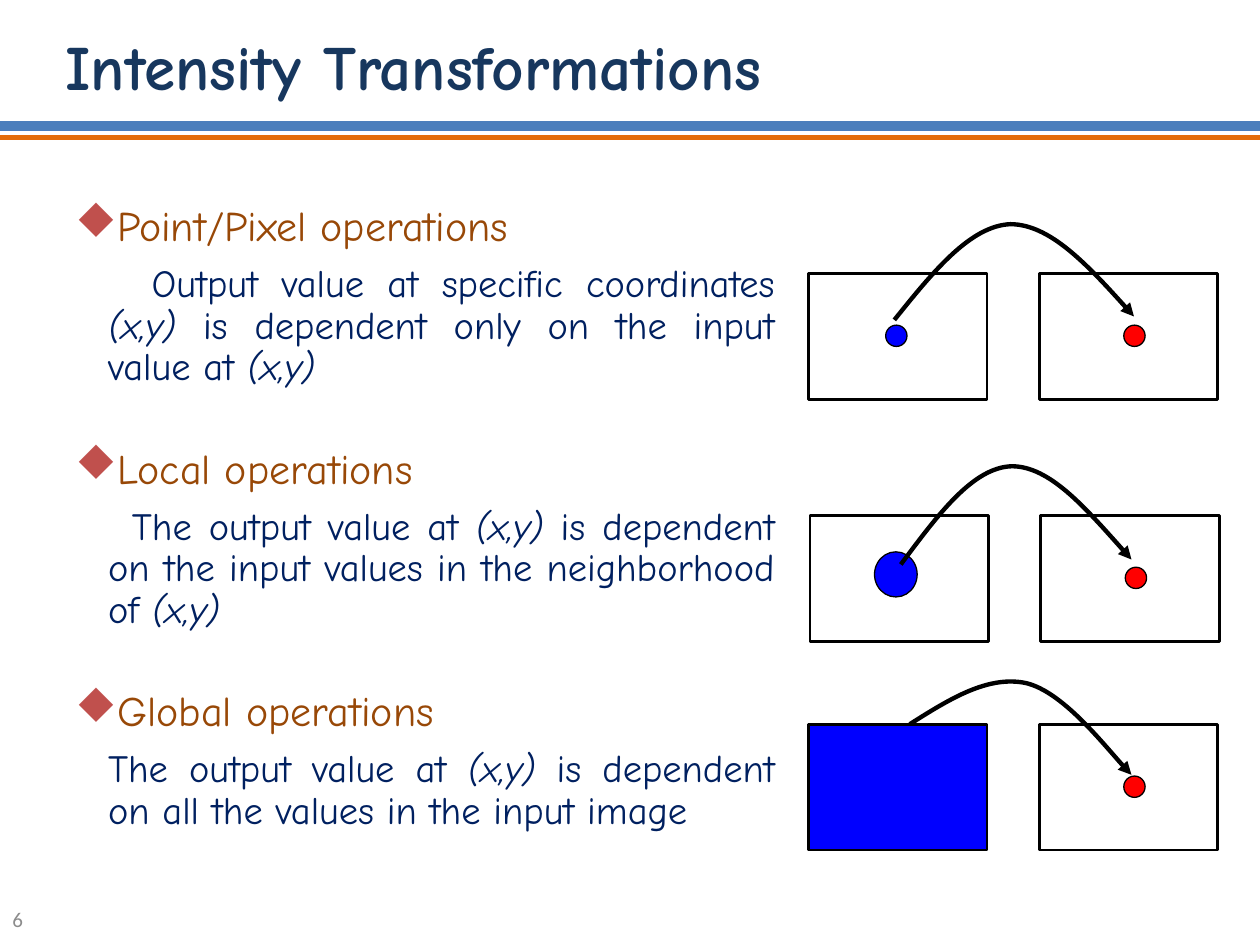
from dataclasses import dataclass
from typing import Optional

from lxml import etree
from pptx import Presentation
from pptx.dml.color import RGBColor
from pptx.enum.shapes import MSO_CONNECTOR as Connector, MSO_SHAPE as Preset
from pptx.enum.text import MSO_ANCHOR as Anchor, PP_ALIGN as Align
from pptx.oxml.ns import qn
from pptx.util import Cm, Pt

NAVY = RGBColor(0x17, 0x37, 0x5E)
BODY = RGBColor(0x00, 0x20, 0x60)
BROWN = RGBColor(0x98, 0x48, 0x07)
GREY = RGBColor(0x8C, 0x8C, 0x8C)
BLACK = RGBColor(0x00, 0x00, 0x00)
BLUE = RGBColor(0x00, 0x00, 0xFF)
RED = RGBColor(0xFF, 0x00, 0x00)
BULLET_RED = RGBColor(0xC0, 0x50, 0x4D)
RULE_BLUE = RGBColor(0x4B, 0x7E, 0xBC)
RULE_ORANGE = RGBColor(0xE4, 0x6C, 0x0A)
COMIC = "Comic Neue"
BULLET_FONT, DIAMOND = "Wingdings", "u"  # the letter u is a diamond in this font

FRAME_WIDTH, FRAME_HEIGHT = 3.6, 2.54
FRAME_STEP = 4.65
DOT = 0.43
DOT_DOWN = 1.26
TARGET_RIGHT = 1.92
HANGING = 0.66

Point = tuple[float, float]


@dataclass
class Neighbourhood:
    """Blue ellipse in the input frame, centred relative to that frame."""
    centre: Point
    width: float
    height: float


@dataclass
class Operation:
    heading: str
    text: str
    first_indent: float
    frame: Point
    source: Optional[Neighbourhood]  # None: the whole input frame is blue
    curve: list[Point]  # start, then two cubic segments


OPERATIONS = [
    Operation(
        "Point/Pixel operations",
        "Output value at specific coordinates (x,y) is dependent only on "
        "the input value at (x,y)",
        0.88, (16.3, 5.51), Neighbourhood((1.77, DOT_DOWN), DOT, DOT),
        [(18.03, 6.45), (18.8, 5.49), (19.56, 4.55), (20.37, 4.52),
         (21.16, 4.52), (22.02, 5.44), (22.86, 6.38)]),
    Operation(
        "Local operations",
        "The output value at (x,y) is dependent on the input values in the "
        "neighborhood of (x,y)",
        0.48, (16.33, 10.39), Neighbourhood((1.73, 1.19), 0.86, 0.91),
        [(18.16, 11.38), (18.9, 10.39), (19.61, 9.42), (20.4, 9.4),
         (21.16, 9.4), (21.97, 10.34), (22.81, 11.28)]),
    Operation(
        "Global operations",
        "The output value at (x,y) is dependent on all the values in the "
        "input image",
        0, (16.3, 14.6), None,
        [(18.34, 14.6), (19.13, 14.1), (19.91, 13.61), (20.68, 13.77),
         (21.41, 13.94), (22.48, 15.29), (22.81, 15.62)]),
]


def add_box(page, left: float, top: float, width: float, height: float):
    box = page.shapes.add_textbox(Cm(left), Cm(top), Cm(width), Cm(height))
    box.text_frame.word_wrap = True
    return box.text_frame


def add_span(para, text: str, size: float, color: RGBColor, font: str = COMIC,
             bold: bool = False, italic: bool = False) -> None:
    span = para.add_run()
    span.text = text
    span.font.name = font
    span.font.size = Pt(size)
    span.font.color.rgb = color
    span.font.bold = bold
    span.font.italic = italic


def set_indent(para, first: float, bullet: bool = False) -> None:
    properties = para._p.get_or_add_pPr()
    properties.set("marL", str(Cm(HANGING)))
    properties.set("indent", str(Cm(first)))
    if bullet:
        color = etree.SubElement(properties, qn("a:buClr"))
        etree.SubElement(color, qn("a:srgbClr")).set("val", str(BULLET_RED))
        font = etree.SubElement(properties, qn("a:buFont"))
        font.set("typeface", BULLET_FONT)
        font.set("charset", "2")
        etree.SubElement(properties, qn("a:buChar")).set("char", DIAMOND)
    else:
        etree.SubElement(properties, qn("a:buNone"))


def add_operations_text(page) -> None:
    frame = add_box(page, 1.27, 4.01, 14.6, 13)
    for index, operation in enumerate(OPERATIONS):
        heading = frame.add_paragraph() if index else frame.paragraphs[0]
        set_indent(heading, -HANGING, bullet=True)
        if index:
            heading.space_before = Pt(33.5)
        add_span(heading, operation.heading, 24, BROWN)

        body = frame.add_paragraph()
        set_indent(body, operation.first_indent)
        body.space_before = Pt(8)
        coordinates = "(x,y)"
        for position, part in enumerate(operation.text.split(coordinates)):
            if position:
                add_span(body, coordinates, 22, BODY, italic=True)
            if part:
                add_span(body, part, 22, BODY)

        for para in (heading, body):
            para.alignment = Align.JUSTIFY
            para.line_spacing = 0.9


def add_outlined(page, preset: Preset, left: float, top: float, width: float,
                 height: float, line: float, fill: Optional[RGBColor]) -> None:
    shape = page.shapes.add_shape(preset, Cm(left), Cm(top), Cm(width), Cm(height))
    shape.shadow.inherit = False
    shape.line.color.rgb = BLACK
    shape.line.width = Pt(line)
    if fill is None:
        shape.fill.background()
    else:
        shape.fill.solid()
        shape.fill.fore_color.rgb = fill


def add_ellipse(page, centre: Point, width: float, height: float,
                fill: RGBColor) -> None:
    add_outlined(page, Preset.OVAL, centre[0] - width / 2, centre[1] - height / 2,
                 width, height, 0.75, fill)


def add_curved_arrow(page, points: list[Point]) -> None:
    """Build a freeform on the control points, then turn it into cubic curves."""
    start, *others = [(Cm(x), Cm(y)) for x, y in points]
    builder = page.shapes.build_freeform(*start)
    builder.add_line_segments(others, close=False)
    arrow = builder.convert_to_shape()
    arrow.shadow.inherit = False
    arrow.fill.background()
    arrow.line.color.rgb = BLACK
    arrow.line.width = Pt(2.5)
    etree.SubElement(arrow.line._get_or_add_ln(), qn("a:tailEnd")).set("type", "triangle")

    segments = list(arrow._element.iter(qn("a:lnTo")))
    outline = segments[0].getparent()
    for first in range(0, len(segments), 3):
        cubic = etree.SubElement(outline, qn("a:cubicBezTo"))
        for segment in segments[first:first + 3]:
            cubic.append(segment[0])
            outline.remove(segment)


def draw_operation(page, operation: Operation) -> None:
    left, top = operation.frame
    right = left + FRAME_STEP
    source = operation.source
    for x, fill in ((left, None if source else BLUE), (right, None)):
        add_outlined(page, Preset.RECTANGLE, x, top, FRAME_WIDTH, FRAME_HEIGHT, 1.5, fill)
    if source:
        centre = (left + source.centre[0], top + source.centre[1])
        add_ellipse(page, centre, source.width, source.height, BLUE)
    add_ellipse(page, (right + TARGET_RIGHT, top + DOT_DOWN), DOT, DOT, RED)
    add_curved_arrow(page, operation.curve)


def add_rule(page, top: float, width: float, color: RGBColor) -> None:
    rule = page.shapes.add_connector(Connector.STRAIGHT, Cm(0), Cm(top), Cm(25.4), Cm(top))
    rule.line.color.rgb = color
    rule.line.width = Pt(width)
    etree.SubElement(rule._element.spPr, qn("a:effectLst"))


def main() -> None:
    deck = Presentation()
    deck.slide_width, deck.slide_height = Cm(25.4), Cm(19.05)
    page = deck.slides.add_slide(deck.slide_layouts[6])

    add_operations_text(page)
    for operation in OPERATIONS:
        draw_operation(page, operation)

    title = add_box(page, 1.07, 0.43, 20.52, 1.9)
    add_span(title.paragraphs[0], "Intensity Transformations", 36, NAVY, bold=True)
    add_rule(page, 2.54, 6, RULE_BLUE)
    add_rule(page, 2.77, 3, RULE_ORANGE)

    number = add_box(page, 0, 18.01, 5.92, 1.02)
    number.vertical_anchor = Anchor.MIDDLE
    add_span(number.paragraphs[0], "6", 12, GREY, font="Calibri")
    deck.save("out.pptx")


if __name__ == "__main__":
    main()
